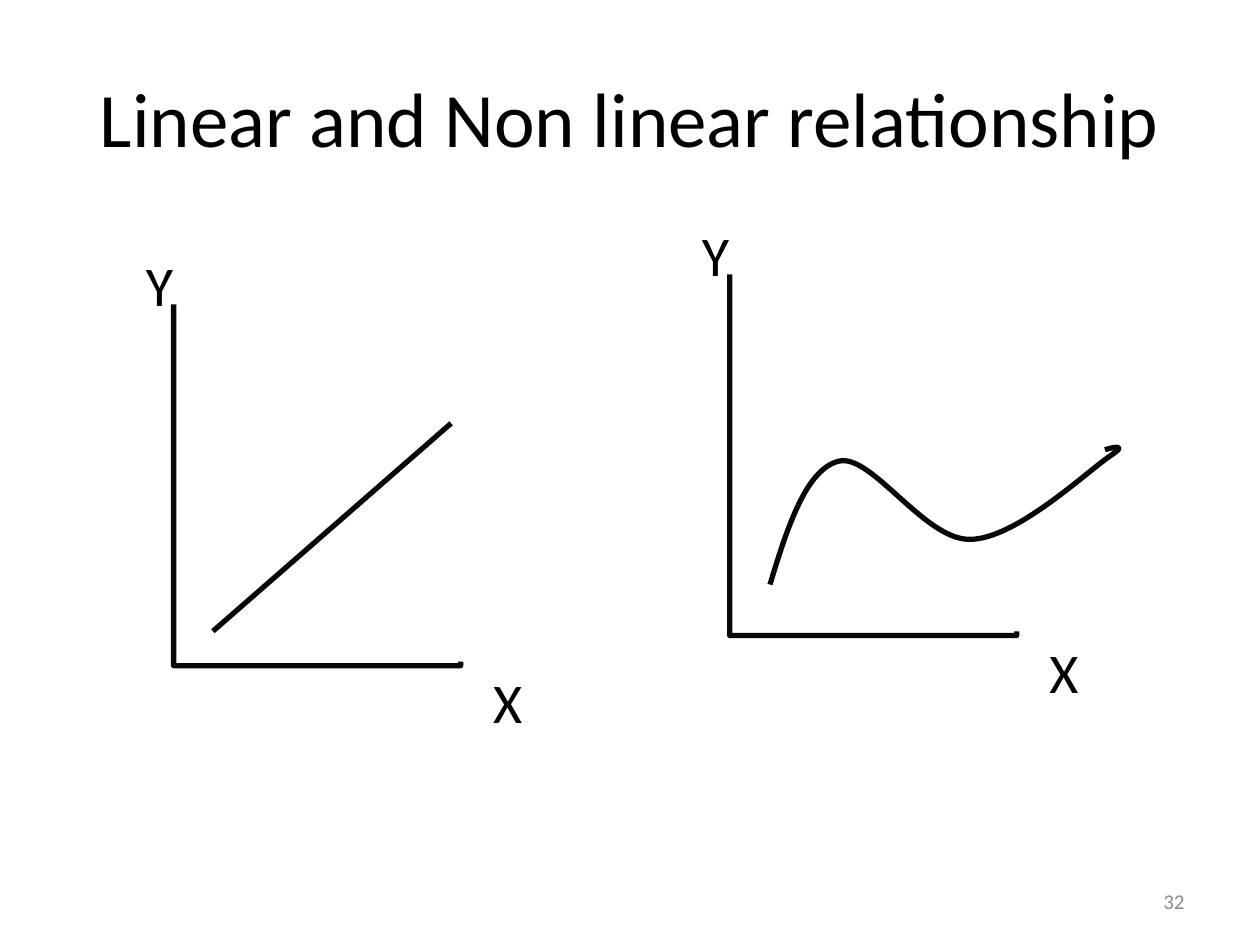
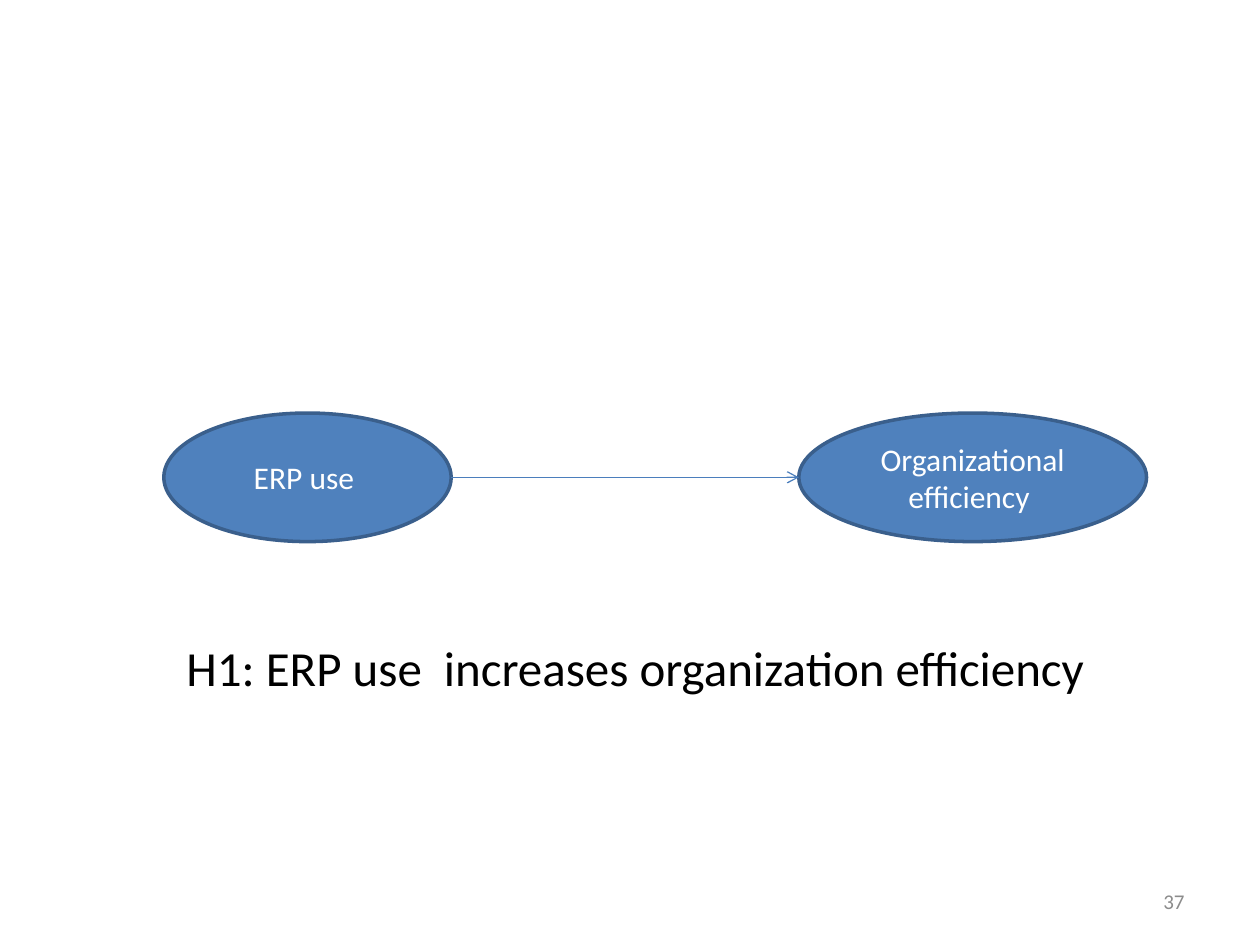
"""Build two slides on relationships between variables and a hypothesis."""
import dataclasses

import lxml.etree
import pptx
import pptx.dml.color
import pptx.enum.shapes
import pptx.enum.text
import pptx.oxml.ns
import pptx.util

Pt = pptx.util.Pt
qn = pptx.oxml.ns.qn
ALIGN = pptx.enum.text.PP_ALIGN
ANCHOR = pptx.enum.text.MSO_ANCHOR
CONNECTOR = pptx.enum.shapes.MSO_CONNECTOR


@dataclasses.dataclass(frozen=True)
class Theme:
    font: str = "Calibri"
    ink: str = "000000"
    muted: str = "8C8C8C"
    light: str = "FFFFFF"
    accent: str = "4F81BD"
    outline: str = "3A5F8C"
    arrow: str = "4B7EBC"
    title_size: float = 44
    label_size: float = 32
    statement_size: float = 28
    node_size: float = 18
    number_size: float = 12
    plot_line: float = 3
    node_line: float = 2
    arrow_line: float = 0.75
    plot_opacity: int = 97000


class SlideBuilder:
    def __init__(self, deck, theme):
        self.deck = deck
        self.theme = theme
        self.page = None

    def new_page(self, number):
        self.page = self.deck.slides.add_slide(self.deck.slide_layouts[6])
        self.text(str(number), 516, 500.5, 168, 28.75, self.theme.number_size,
                  self.theme.muted, ALIGN.RIGHT, ANCHOR.MIDDLE)

    def fill_text(self, shape, content, size, color, align, anchor):
        frame = shape.text_frame
        frame.word_wrap = True
        frame.vertical_anchor = anchor
        frame.text = content
        para = frame.paragraphs[0]
        para.alignment = align
        for span in para.runs:
            span.font.name = self.theme.font
            span.font.size = Pt(size)
            span.font.color.rgb = pptx.dml.color.RGBColor.from_string(color)

    def text(self, content, left, top, width, height, size, color=None,
             align=ALIGN.LEFT, anchor=ANCHOR.TOP):
        box = self.page.shapes.add_textbox(Pt(left), Pt(top), Pt(width), Pt(height))
        self.fill_text(box, content, size, color or self.theme.ink, align, anchor)

    def title(self, content):
        self.text(content, 36, 21.6, 648, 90, self.theme.title_size,
                  align=ALIGN.CENTER, anchor=ANCHOR.MIDDLE)

    def stroke(self, shape, color, width):
        shape.line.color.rgb = pptx.dml.color.RGBColor.from_string(color)
        shape.line.width = Pt(width)
        return shape._element.spPr.find(qn("a:ln"))

    def plot_stroke(self, shape):
        outline = self.stroke(shape, self.theme.ink, self.theme.plot_line)
        color = next(outline.iter(qn("a:srgbClr")))
        lxml.etree.SubElement(color, qn("a:alpha"), val=str(self.theme.plot_opacity))

    def connector(self, kind, start, end):
        line = self.page.shapes.add_connector(kind, *map(Pt, start + end))
        lxml.etree.SubElement(line._element.spPr, qn("a:effectLst"))
        return line

    def straight(self, start, end):
        self.plot_stroke(self.connector(CONNECTOR.STRAIGHT, start, end))

    def arrow(self, start, end):
        line = self.connector(CONNECTOR.STRAIGHT, start, end)
        outline = self.stroke(line, self.theme.arrow, self.theme.arrow_line)
        lxml.etree.SubElement(outline, qn("a:tailEnd"), type="arrow")

    def axes(self, left, top):
        width, height = 164, 204
        inset = (height - width) / 2
        line = self.connector(CONNECTOR.ELBOW, (left + width + inset, top + inset),
                              (left - inset, top + height - inset))
        properties = line._element.spPr
        properties.find(qn("a:xfrm")).set("rot", str(270 * 60000))
        guides = properties.find(qn("a:prstGeom")).find(qn("a:avLst"))
        lxml.etree.SubElement(guides, qn("a:gd"), name="adj1", fmla="val 101200")
        self.plot_stroke(line)
        for label, x, y in (("X", 175.5, 204), ("Y", -23, -34.5)):
            self.text(label, left + x, top + y, 34, 46, self.theme.label_size)

    def curve(self, start, points):
        builder = self.page.shapes.build_freeform(*map(Pt, start))
        builder.add_line_segments([tuple(map(Pt, point)) for point in points], close=False)
        shape = builder.convert_to_shape()
        shape.shadow.inherit = False
        shape.fill.background()
        self.plot_stroke(shape)
        segments = list(shape._element.iter(qn("a:lnTo")))
        for first in range(0, len(segments), 3):
            bezier = lxml.etree.SubElement(segments[first].getparent(), qn("a:cubicBezTo"))
            for segment in segments[first:first + 3]:
                bezier.append(segment[0])
                segment.getparent().remove(segment)

    def node(self, content, left, top, width, height):
        shape = self.page.shapes.add_shape(pptx.enum.shapes.MSO_SHAPE.OVAL,
                                           Pt(left), Pt(top), Pt(width), Pt(height))
        shape.shadow.inherit = False
        shape.fill.solid()
        shape.fill.fore_color.rgb = pptx.dml.color.RGBColor.from_string(self.theme.accent)
        self.stroke(shape, self.theme.outline, self.theme.node_line)
        self.fill_text(shape, content, self.theme.node_size, self.theme.light,
                       ALIGN.CENTER, ANCHOR.MIDDLE)


def relationship_slide(builder):
    builder.new_page(32)
    builder.title("Linear and Non linear relationship")
    builder.axes(417, 156.75)
    builder.axes(99.25, 174)
    builder.straight((121.7, 360.7), (257.8, 241.9))
    builder.curve((440, 334), [
        (450, 301), (460.8, 267.8), (479.5, 263.5),
        (498.2, 259.2), (528.5, 308.9), (554.4, 308.2),
        (580.3, 308.2), (621.4, 269.3), (634.3, 260.6),
        (647.3, 252), (631.4, 257), (631.4, 257),
    ])


def hypothesis_slide(builder):
    builder.new_page(37)
    top, height = 236, 73.5
    cause_left, cause_width, effect_left = 93.6, 164.2, 456.5
    builder.node("ERP use ", cause_left, top, cause_width, height)
    builder.node("Organizational efficiency ", effect_left, top, 198.7, height)
    middle = top + height / 2
    builder.arrow((cause_left + cause_width, middle), (effect_left, middle))
    builder.text("H1: ERP use  increases organization efficiency",
                 99.4, 360.7, 533, 41, builder.theme.statement_size)


def main():
    deck = pptx.Presentation()
    deck.slide_width, deck.slide_height = Pt(720), Pt(540)
    builder = SlideBuilder(deck, Theme())
    relationship_slide(builder)
    hypothesis_slide(builder)
    deck.save("out.pptx")


if __name__ == "__main__":
    main()
